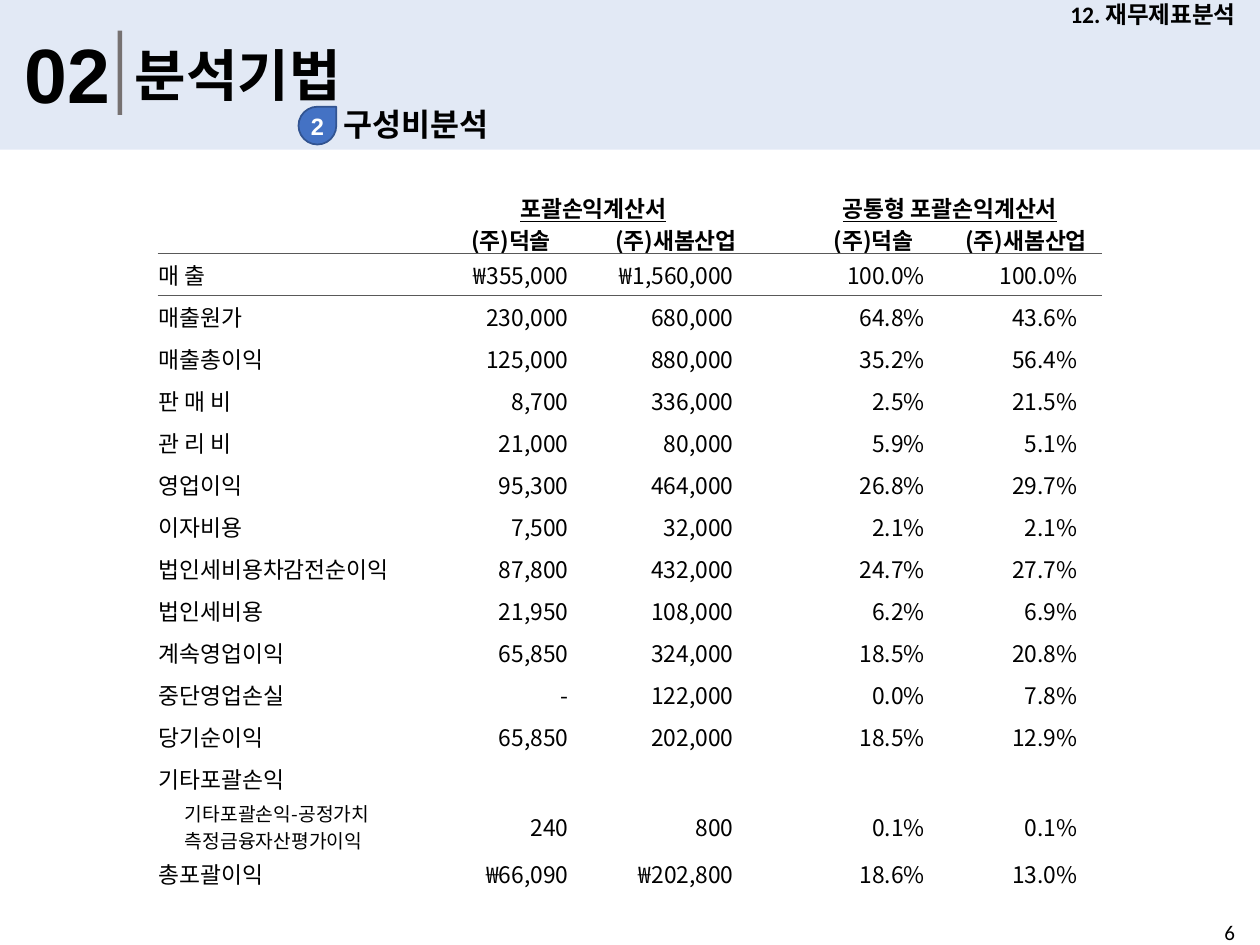
import pptx
import pptx.util
import pptx.dml.color
import pptx.enum.shapes
import pptx.enum.text
import pptx.oxml.ns
import lxml.etree

Pt = pptx.util.Pt
RGBColor = pptx.dml.color.RGBColor
ALIGN = pptx.enum.text.PP_ALIGN
ANCHOR = pptx.enum.text.MSO_ANCHOR
SHAPES = pptx.enum.shapes.MSO_SHAPE
qn = pptx.oxml.ns.qn

BLACK = RGBColor(0, 0, 0)
WHITE = RGBColor(255, 255, 255)
BAND = RGBColor(0xDA, 0xE3, 0xF3)
BLUE = RGBColor(0x44, 0x72, 0xC4)
NAVY = RGBColor(0x32, 0x54, 0x91)
GRAY = RGBColor(0x76, 0x71, 0x71)
RULE = RGBColor(0x59, 0x59, 0x59)
KOREAN = "Noto Sans CJK KR"
PLAIN_TABLE_STYLE = "{2D5ABB26-0587-4C30-8999-92F81FD0307C}"


def add_run(paragraph, text, size, font, bold=False, color=BLACK):
    run = paragraph.add_run()
    run.text = text
    run.font.size = Pt(size)
    run.font.bold = bold
    run.font.name = font
    run.font.color.rgb = color
    properties = run.font._element
    lxml.etree.SubElement(properties, qn("a:ea"), typeface=KOREAN)
    return run


def add_filled(kind, left, top, width, height, color):
    shape = slide.shapes.add_shape(kind, Pt(left), Pt(top), Pt(width), Pt(height))
    shape.shadow.inherit = False
    shape.fill.solid()
    shape.fill.fore_color.rgb = color
    shape.line.fill.background()
    return shape


presentation = pptx.Presentation()
presentation.slide_width = Pt(720)
presentation.slide_height = Pt(540)
slide = presentation.slides.add_slide(presentation.slide_layouts[5])

band = add_filled(SHAPES.RECTANGLE, 0, 0, 720, 85.5, BAND)
band_color = band.fill._xPr.find(qn("a:solidFill"))[0]
lxml.etree.SubElement(band_color, qn("a:alpha"), val="76000")
add_filled(SHAPES.RECTANGLE, 67.2, 17.5, 2.6, 48.2, GRAY)

title = slide.shapes.title
title.left, title.top, title.width, title.height = Pt(69.8), Pt(19.4), Pt(462), Pt(46)
title.text_frame.vertical_anchor = ANCHOR.TOP
title.text_frame.paragraphs[0].alignment = ALIGN.LEFT
add_run(title.text_frame.paragraphs[0], "분석기법", 32, "Calibri", True)
slide.shapes._spTree.append(title._element)

labels = [
    ("02", 6.8, 11.5, 65.5, 60.5, 44, "Arial", True, ALIGN.LEFT, ANCHOR.TOP),
    ("구성비분석", 189.4, 56.2, 269.3, 28.8, 18, "Calibri", True, ALIGN.LEFT, ANCHOR.TOP),
    ("12. 재무제표분석", 597.6, 0, 122.4, 16.6, 13.5, "Calibri", True, ALIGN.CENTER, ANCHOR.MIDDLE),
    ("6", 692.6, 522, 27.4, 18, 12, "Calibri", False, ALIGN.LEFT, ANCHOR.TOP),
]
for text, left, top, width, height, size, font, bold, alignment, anchor in labels:
    label = slide.shapes.add_textbox(Pt(left), Pt(top), Pt(width), Pt(height))
    label.text_frame.word_wrap = True
    label.text_frame.vertical_anchor = anchor
    label.text_frame.paragraphs[0].alignment = alignment
    add_run(label.text_frame.paragraphs[0], text, size, font, bold)

badge = add_filled(SHAPES.TEAR, 170.6, 61, 21.6, 21.6, BLUE)
badge.line.color.rgb = NAVY
badge.line.width = Pt(1)
badge.text_frame.word_wrap = False
badge.text_frame.vertical_anchor = ANCHOR.MIDDLE
badge.text_frame.paragraphs[0].alignment = ALIGN.CENTER
add_run(badge.text_frame.paragraphs[0], "2", 13.5, "Arial", True, WHITE)

OTHER_INCOME = "기타포괄손익-공정가치\n측정금융자산평가이익"
rows = [
    ("", "포괄손익계산서", "", "", "공통형 포괄손익계산서", ""),
    ("", "(주)덕솔", "(주)새봄산업", "", "(주)덕솔", "(주)새봄산업"),
    ("매 출", "₩355,000", "₩1,560,000", "", "100.0%", "100.0%"),
    ("매출원가", "230,000", "680,000", "", "64.8%", "43.6%"),
    ("매출총이익", "125,000", "880,000", "", "35.2%", "56.4%"),
    ("판 매 비", "8,700", "336,000", "", "2.5%", "21.5%"),
    ("관 리 비", "21,000", "80,000", "", "5.9%", "5.1%"),
    ("영업이익", "95,300", "464,000", "", "26.8%", "29.7%"),
    ("이자비용", "7,500", "32,000", "", "2.1%", "2.1%"),
    ("법인세비용차감전순이익", "87,800", "432,000", "", "24.7%", "27.7%"),
    ("법인세비용", "21,950", "108,000", "", "6.2%", "6.9%"),
    ("계속영업이익", "65,850", "324,000", "", "18.5%", "20.8%"),
    ("중단영업손실", "-", "122,000", "", "0.0%", "7.8%"),
    ("당기순이익", "65,850", "202,000", "", "18.5%", "12.9%"),
    ("기타포괄손익", "", "", "", "", ""),
    (OTHER_INCOME, "240", "800", "", "0.1%", "0.1%"),
    ("총포괄이익", "₩66,090", "₩202,800", "", "18.6%", "13.0%"),
]
column_widths = [154.8, 94.3, 94.3, 22.3, 87.1, 87.1]
row_heights = [18, 18] + [24] * 13 + [31.5, 22.2]

frame = slide.shapes.add_table(
    len(rows), len(column_widths), Pt(90), Pt(108.7), Pt(sum(column_widths)), Pt(sum(row_heights))
)
table = frame.table
table.first_row = False
table.horz_banding = False
table._tbl.tblPr.find(qn("a:tableStyleId")).text = PLAIN_TABLE_STYLE
for column, width in zip(table.columns, column_widths):
    column.width = Pt(width)
for row, height in zip(table.rows, row_heights):
    row.height = Pt(height)
for first in (1, 4):
    table.cell(0, first).merge(table.cell(0, first + 1))

for row_index, values in enumerate(rows):
    header = row_index < 2
    for column_index, value in enumerate(values):
        cell = table.cell(row_index, column_index)
        numeric = column_index > 0 and not header
        cell.margin_left = cell.margin_top = Pt(0.7)
        cell.margin_right = Pt(14.4 if numeric else 0.7)
        cell.margin_bottom = Pt(0)
        cell.vertical_anchor = ANCHOR.MIDDLE
        if row_index in (1, 2):
            edge = "a:lnB" if header else "a:lnT"
            line = lxml.etree.SubElement(cell._tc.get_or_add_tcPr(), qn(edge), w="6350")
            fill = lxml.etree.SubElement(line, qn("a:solidFill"))
            lxml.etree.SubElement(fill, qn("a:srgbClr"), val=str(RULE))
        cell.fill.background()
        for line_index, text in enumerate(value.split("\n")):
            if line_index:
                cell.text_frame.add_paragraph()
            paragraph = cell.text_frame.paragraphs[line_index]
            paragraph.alignment = ALIGN.CENTER if header else ALIGN.RIGHT if numeric else ALIGN.LEFT
            if not text:
                lxml.etree.SubElement(paragraph._p, qn("a:endParaRPr"), sz="1000")
                continue
            detail = value == OTHER_INCOME
            if detail:
                paragraph._p.get_or_add_pPr().set("marL", str(Pt(15)))
                paragraph.line_spacing = Pt(15.4)
            run = add_run(paragraph, text, 11 if detail else 13, KOREAN, header)
            run.font.underline = row_index == 0

presentation.save("out.pptx")
